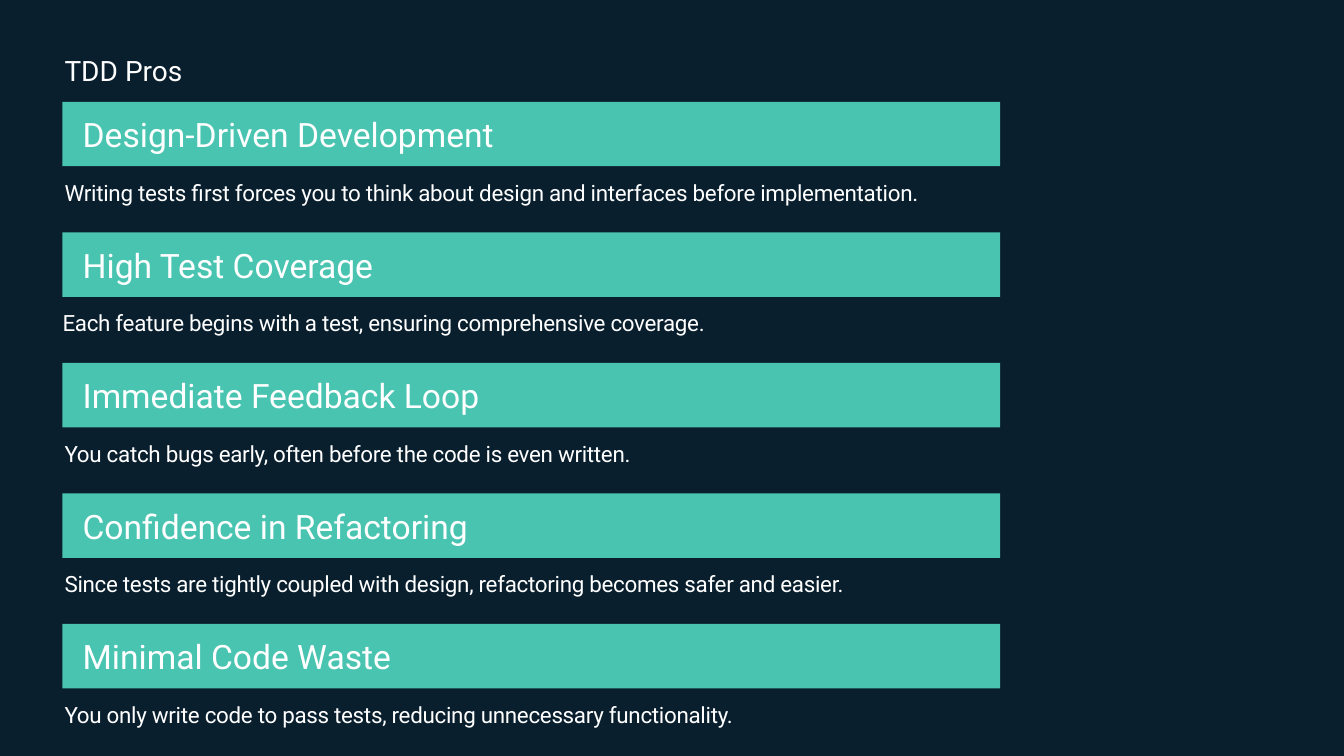
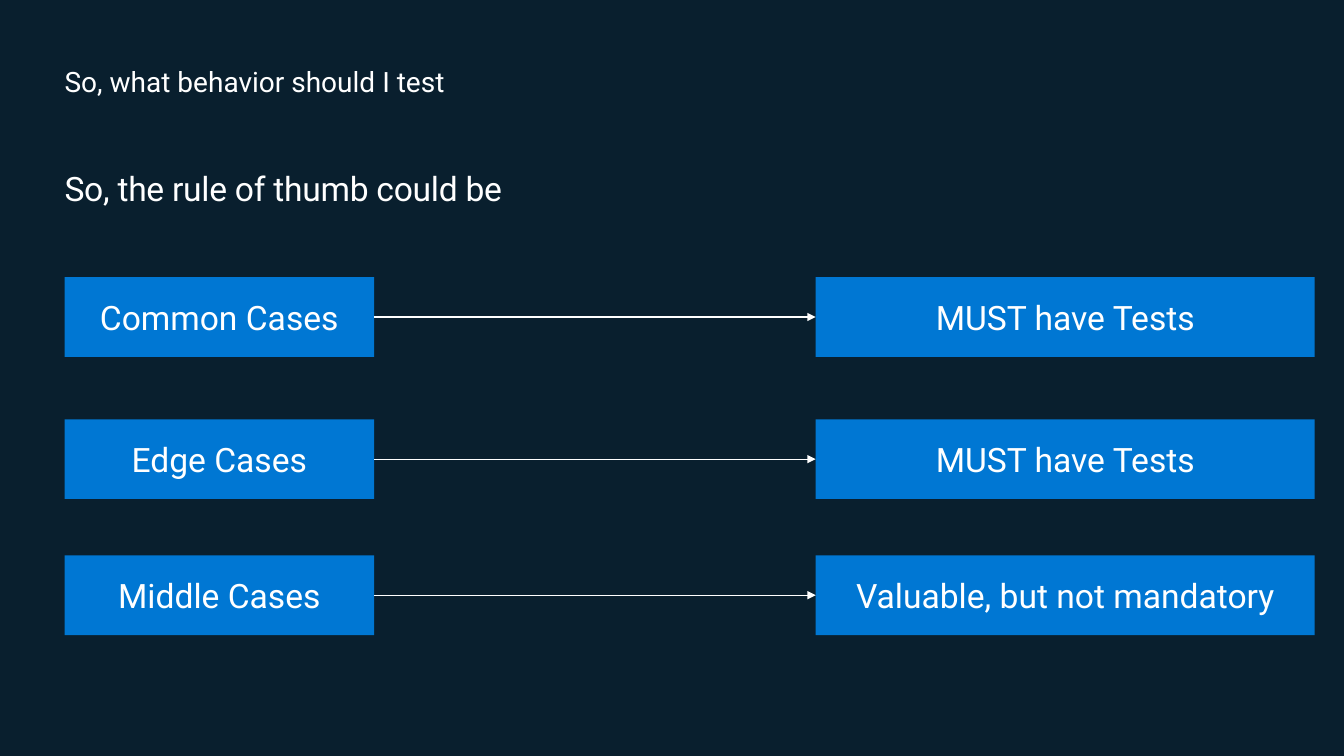
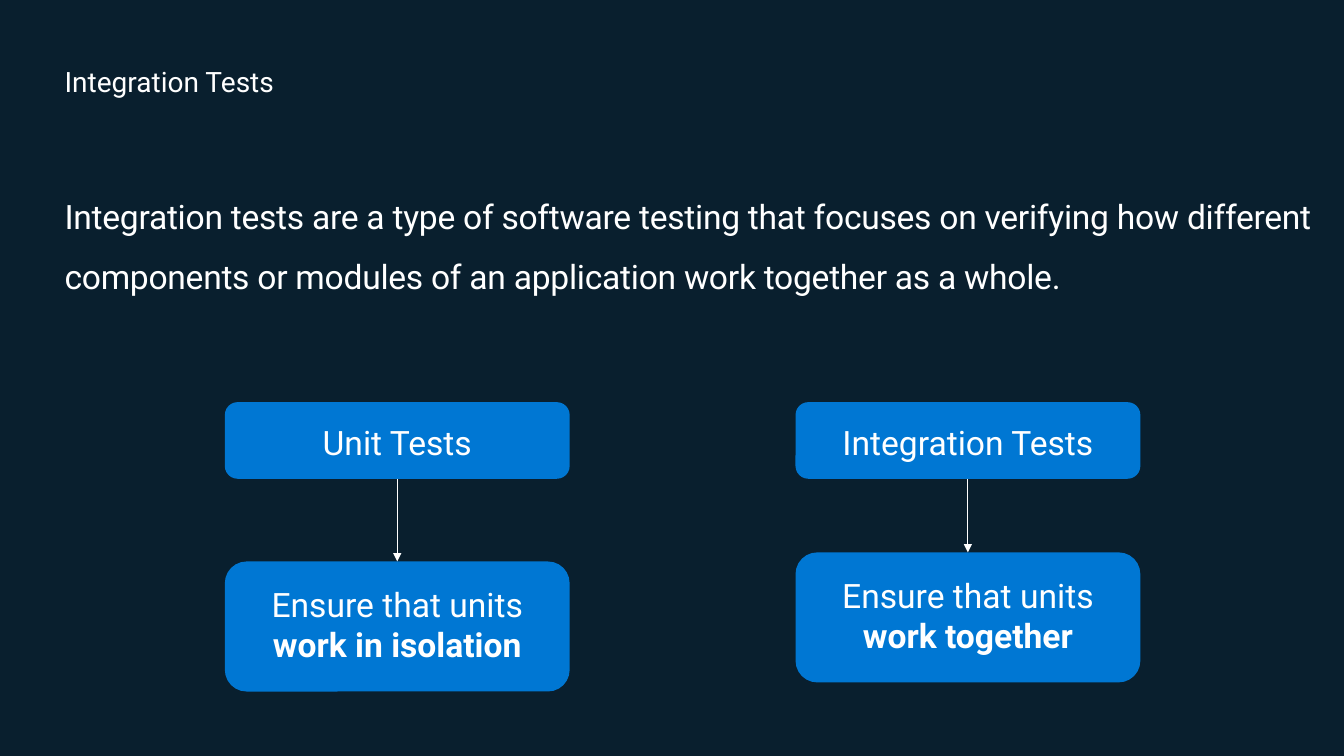
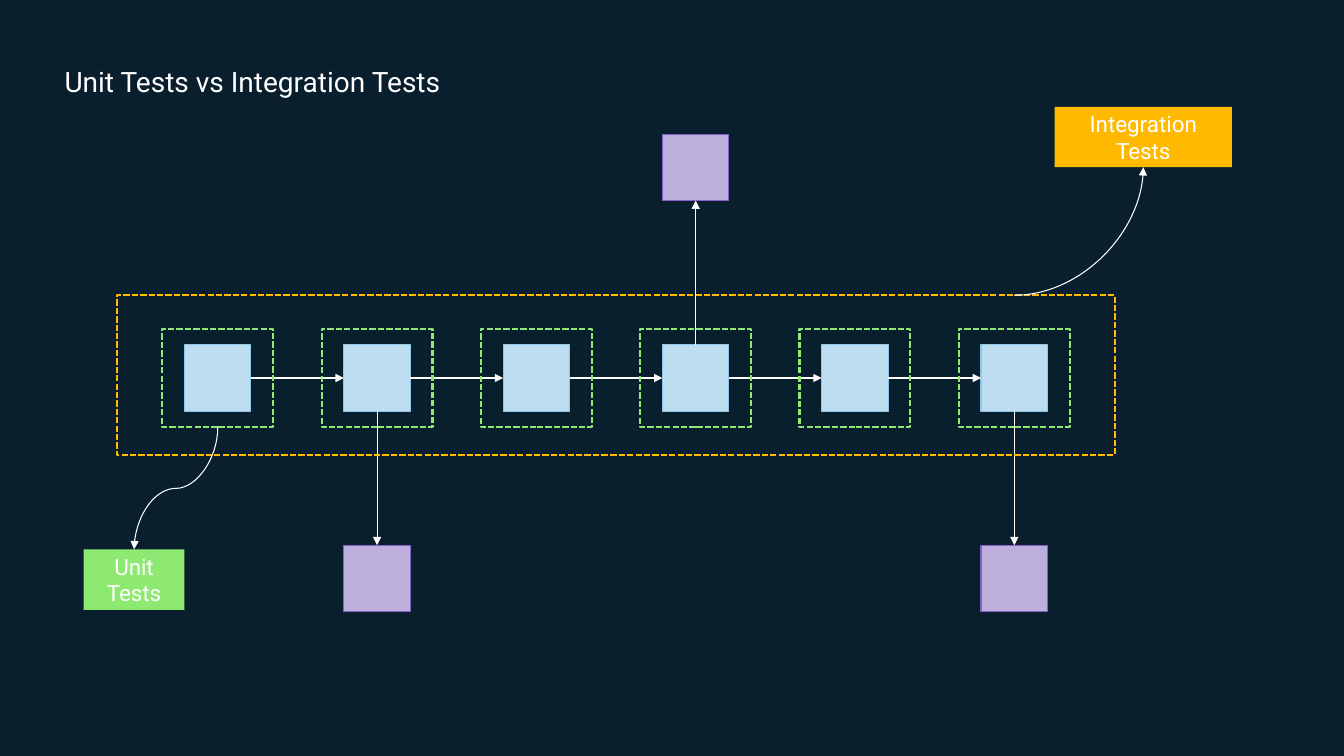
from dataclasses import dataclass

from lxml.etree import SubElement
from pptx import Presentation
from pptx.dml.color import RGBColor
from pptx.enum.dml import MSO_LINE
from pptx.enum.shapes import MSO_CONNECTOR, MSO_SHAPE
from pptx.enum.text import MSO_ANCHOR, MSO_AUTO_SIZE, PP_ALIGN
from pptx.oxml.ns import qn
from pptx.util import Inches, Pt


@dataclass(frozen=True)
class Theme:
    font: str = "Roboto"
    background: str = "091F2E"
    text: str = "FFFFFF"
    teal: str = "48C4B1"
    blue: str = "0077D3"
    unit_fill: str = "BFDDF0"
    unit_line: str = "8CC7E7"
    external_fill: str = "BCAFDB"
    external_line: str = "8660C4"
    green: str = "8DE971"
    amber: str = "FFB900"
    title_size: int = 20
    large: int = 24
    small: int = 16
    thin: float = 0.75
    dashed: float = 1.5


THEME = Theme()
LEFT = 0.64
TITLE_AND_BODY, TITLE_ONLY = 1, 5
TOP, SIDE_LEFT, BOTTOM, SIDE_RIGHT = range(4)  # connection sites


def rgb(value):
    return RGBColor.from_string(value)


# Text
def write(frame, *runs, size, align=PP_ALIGN.LEFT, anchor=MSO_ANCHOR.TOP,
          margins=(0, 0), line_spacing=1.0, tracking=0, bold_last=False, grow=False):
    """Fill a text frame with one paragraph made of the given runs."""
    frame.word_wrap = True
    frame.auto_size = MSO_AUTO_SIZE.SHAPE_TO_FIT_TEXT if grow else MSO_AUTO_SIZE.NONE
    frame.vertical_anchor = anchor
    frame.margin_left = frame.margin_right = Inches(margins[0])
    frame.margin_top = frame.margin_bottom = Inches(margins[1])
    paragraph = frame.paragraphs[0]
    properties = paragraph._p.get_or_add_pPr()
    properties.set("marL", "0")
    properties.set("indent", "0")
    SubElement(properties, qn("a:buNone"))
    paragraph.alignment = align
    paragraph.line_spacing = line_spacing
    paragraph.space_before = Pt(0)
    for words in runs:
        run = paragraph.add_run()
        run.text = words
        run.font.name = THEME.font
        run.font.size = Pt(size)
        run.font.color.rgb = rgb(THEME.text)
        if tracking:
            run._r.get_or_add_rPr().set("spc", str(round(tracking * 100)))
    if bold_last:
        run.font.bold = True


def place(shape, left, top, width, height):
    shape.left, shape.top = Inches(left), Inches(top)
    shape.width, shape.height = Inches(width), Inches(height)


def prose(shape, words, size):
    write(shape.text_frame, words, size=size, line_spacing=1.5, tracking=-0.2, grow=True)


def body(slide, words, size, *bounds):
    placeholder = slide.placeholders[1]
    place(placeholder, *bounds)
    prose(placeholder, words, size)


def add_slide(prs, title, layout=TITLE_AND_BODY, title_top=0.64):
    slide = prs.slides.add_slide(prs.slide_layouts[layout])
    place(slide.shapes.title, LEFT, title_top, 8.96, 0.34)
    write(slide.shapes.title.text_frame, title, size=THEME.title_size, grow=True)
    return slide


# Shapes
def add_box(slide, left, top, width, height, fill=None, line=None,
            line_width=THEME.thin, dash=None, kind=MSO_SHAPE.RECTANGLE):
    box = slide.shapes.add_shape(kind, 0, 0, 0, 0)
    place(box, left, top, width, height)
    box.shadow.inherit = False
    if fill:
        box.fill.solid()
        box.fill.fore_color.rgb = rgb(fill)
    else:
        box.fill.background()
    if line:
        box.line.color.rgb = rgb(line)
        box.line.width = Pt(line_width)
        if dash:
            box.line.dash_style = dash
    else:
        box.line.fill.background()
    return box


def add_label(slide, bounds, *runs, fill, size=THEME.large, align=PP_ALIGN.CENTER,
              anchor=MSO_ANCHOR.MIDDLE, kind=MSO_SHAPE.RECTANGLE, bold_last=False):
    label = add_box(slide, *bounds, fill=fill, kind=kind)
    write(label.text_frame, *runs, size=size, align=align, anchor=anchor,
          margins=(0.2, 0.16), bold_last=bold_last)
    return label


def add_outline(slide, bounds, color):
    return add_box(slide, *bounds, line=color, line_width=THEME.dashed,
                   dash=MSO_LINE.SQUARE_DOT)


# Arrows
def add_arrow(slide, start=(0, 0), end=(0, 0), kind=MSO_CONNECTOR.STRAIGHT):
    arrow = slide.shapes.add_connector(kind, *map(Inches, start + end))
    arrow.line.color.rgb = rgb(THEME.text)
    arrow.line.width = Pt(THEME.thin)
    properties = arrow._element.spPr
    SubElement(properties.find(qn("a:ln")), qn("a:tailEnd"), type="triangle")
    SubElement(properties, qn("a:effectLst"))
    return arrow


def link(slide, source, source_site, target, target_site):
    arrow = add_arrow(slide)
    arrow.begin_connect(source, source_site)
    arrow.end_connect(target, target_site)


# Slides
def build_pros(prs):
    slide = add_slide(prs, "TDD Pros", title_top=0.53)
    pros = [
        ("Design-Driven Development", LEFT,
         "Writing tests first forces you to think about design and interfaces before implementation."),
        ("High Test Coverage", 0.62,
         "Each feature begins with a test, ensuring comprehensive coverage."),
        ("Immediate Feedback Loop", LEFT,
         "You catch bugs early, often before the code is even written."),
        ("Confidence in Refactoring", LEFT,
         "Since tests are tightly coupled with design, refactoring becomes safer and easier."),
        ("Minimal Code Waste", LEFT,
         "You only write code to pass tests, reducing unnecessary functionality."),
    ]
    first_top, last_top = 1.01, 6.19
    pitch = (last_top - first_top) / (len(pros) - 1)
    for i, (heading, left, explanation) in enumerate(pros):
        top = first_top + i * pitch
        add_label(slide, (0.62, top, 9.3, 0.64), heading, fill=THEME.teal,
                  align=PP_ALIGN.LEFT)
        bounds = (left, top + 0.63, 12.58, 0.35)
        if i == 0:
            body(slide, explanation, THEME.small, *bounds)
        else:
            prose(slide.shapes.add_textbox(*map(Inches, bounds)), explanation, THEME.small)


def build_rule_of_thumb(prs):
    slide = add_slide(prs, "So, what behavior should I test")
    body(slide, "So, the rule of thumb could be", THEME.large, LEFT, 1.47, 8.96, 0.53)
    rules = [
        (2.75, "Common Cases", "MUST have Tests"),
        (4.16, "Edge Cases", "MUST have Tests"),
        (5.51, "Middle Cases", "Valuable, but not mandatory"),
    ]
    for top, cases, advice in rules:
        cases_box = add_label(slide, (LEFT, top, 3.07, 0.79), cases, fill=THEME.blue)
        advice_box = add_label(slide, (8.09, top, 4.95, 0.79), advice, fill=THEME.blue)
        link(slide, cases_box, SIDE_RIGHT, advice_box, SIDE_LEFT)


def build_integration_tests(prs):
    slide = add_slide(prs, "Integration Tests")
    body(slide, "Integration tests are a type of software testing that focuses on verifying "
         "how different components or modules of an application work together as a whole.",
         THEME.large, LEFT, 1.74, 12.39, 2.35)
    look = dict(fill=THEME.blue, anchor=MSO_ANCHOR.TOP, kind=MSO_SHAPE.ROUNDED_RECTANGLE)
    purposes = [
        (2.23, 5.57, "Unit Tests", "work in isolation"),
        (7.89, 5.48, "Integration Tests", "work together"),
    ]
    for left, purpose_top, test_type, purpose in purposes:
        type_box = add_label(slide, (left, 3.99, 3.42, 0.76), test_type, **look)
        purpose_box = add_label(slide, (left, purpose_top, 3.42, 1.29),
                                "Ensure that units ", purpose, bold_last=True, **look)
        link(slide, type_box, BOTTOM, purpose_box, TOP)


def build_comparison(prs):
    slide = add_slide(prs, "Unit Tests vs Integration Tests", TITLE_ONLY)
    side, pitch, first_left = 0.66, 1.58, 1.83
    lefts = [first_left + i * pitch for i in range(6)]

    # Chain of units
    units = [add_box(slide, left, 3.42, side, side, THEME.unit_fill, THEME.unit_line)
             for left in lefts]
    for unit, following in zip(units, units[1:]):
        link(slide, unit, SIDE_RIGHT, following, SIDE_LEFT)

    # External dependencies
    for i, top in ((1, 5.41), (3, 1.33), (5, 5.41)):
        external = add_box(slide, lefts[i], top, side, side,
                           THEME.external_fill, THEME.external_line)
        sites = (BOTTOM, TOP) if top > 3.42 else (TOP, BOTTOM)
        link(slide, units[i], sites[0], external, sites[1])

    # Scope of each kind of test
    for left in lefts:
        add_outline(slide, (left - 0.22, 3.26, 1.1, 0.98), THEME.green)
    add_outline(slide, (1.16, 2.93, 9.9, 1.58), THEME.amber)

    add_label(slide, (0.83, 5.45, 1, 0.6), "Unit Tests", fill=THEME.green, size=THEME.small)
    unit_arrow = add_arrow(slide, (1.14, 4.43), (2.35, 5.26), MSO_CONNECTOR.CURVE)
    unit_arrow._element.spPr.find(qn("a:xfrm")).set("rot", str(90 * 60000))

    add_label(slide, (10.46, 1.06, 1.76, 0.6), "Integration Tests",
              fill=THEME.amber, size=THEME.small)
    scope_arrow = add_arrow(slide, (10.06, 2.93), (11.34, 1.66), MSO_CONNECTOR.CURVE)
    scope_arrow._element.spPr.find(qn("a:prstGeom")).set("prst", "curvedConnector2")


def main():
    prs = Presentation()
    prs.slide_width, prs.slide_height = Inches(13.33), Inches(7.5)
    backdrop = prs.slide_master.background.fill
    backdrop.solid()
    backdrop.fore_color.rgb = rgb(THEME.background)
    build_pros(prs)
    build_rule_of_thumb(prs)
    build_integration_tests(prs)
    build_comparison(prs)
    prs.save("out.pptx")


if __name__ == "__main__":
    main()
